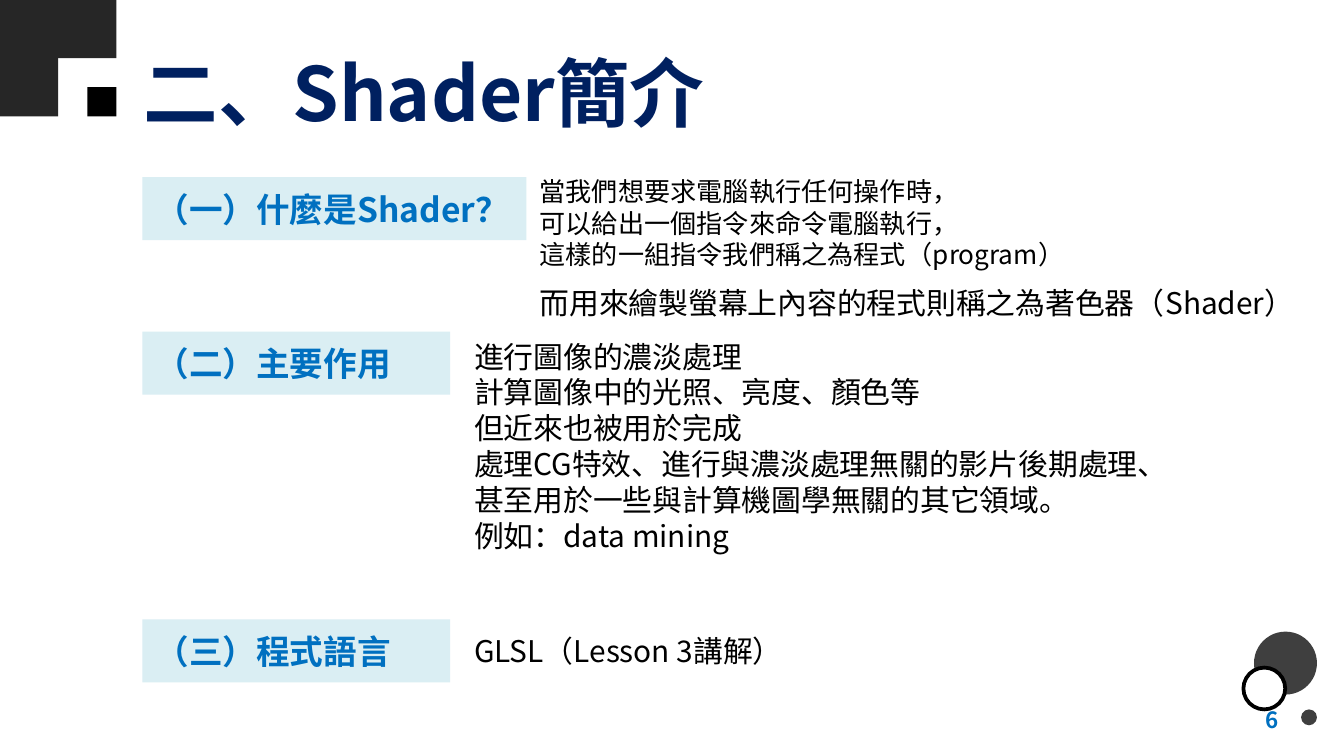
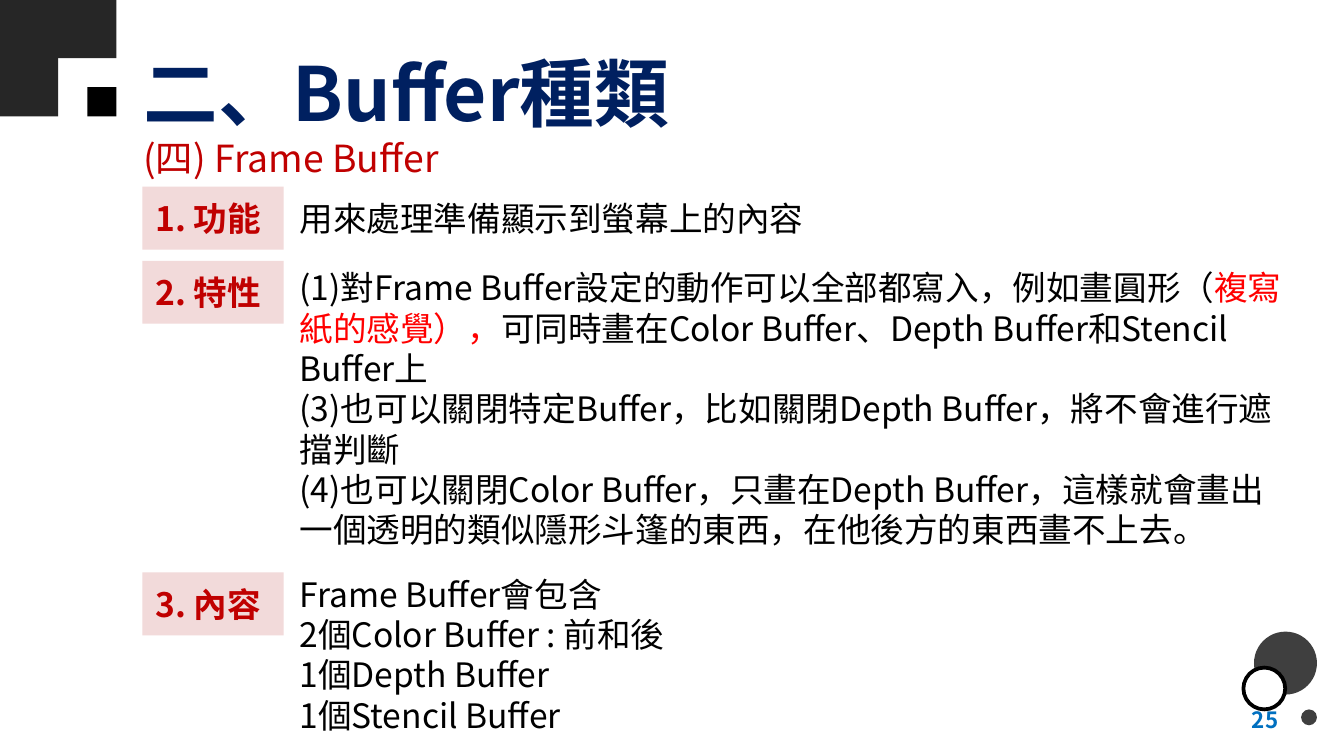
from pptx import Presentation
from pptx import util as u
from pptx.dml import color
from pptx.enum import shapes, text
from pptx.oxml.ns import qn
from lxml import etree

FONT = "Noto Sans CJK TC"
NAVY, BLUE, PALE_BLUE = "002060", "0070C0", "DAEEF3"
CRIMSON, RED, PALE_RED = "C00000", "FF0000", "F2DADA"
BLACK, WHITE, CHARCOAL, GREY = "000000", "FFFFFF", "262626", "3F3F3F"
RECT, OVAL = shapes.MSO_SHAPE.RECTANGLE, shapes.MSO_SHAPE.OVAL
MIDDLE, TOP = text.MSO_ANCHOR.MIDDLE, text.MSO_ANCHOR.TOP
LEFT, RIGHT = text.PP_ALIGN.LEFT, text.PP_ALIGN.RIGHT
LABEL_LEFT, LABEL_H = 2.69, 1.19


def rgb(value):
    return color.RGBColor.from_string(value)


def cm(*lengths):
    return [u.Cm(n) for n in lengths]


def write(sp, paragraphs, size=16, ink=BLACK, bold=False, align=LEFT,
          anchor=TOP, grow=False):
    tf = sp.text_frame
    tf.word_wrap = True
    tf.auto_size = (text.MSO_AUTO_SIZE.SHAPE_TO_FIT_TEXT if grow
                    else text.MSO_AUTO_SIZE.NONE)
    tf.vertical_anchor = anchor
    for i, runs in enumerate(paragraphs):
        p = tf.add_paragraph() if i else tf.paragraphs[0]
        p.alignment = align
        for run in [(runs, ink)] if isinstance(runs, str) else runs:
            r = p.add_run()
            r.text = run[0]
            r.font.name, r.font.size, r.font.bold = FONT, u.Pt(size), bold
            r.font.color.rgb = rgb(run[1])
            ea = etree.SubElement(r.font._element, qn("a:ea"))
            ea.set("typeface", FONT)


def add_text(s, box, paragraphs, **fmt):
    write(s.shapes.add_textbox(*cm(*box)), paragraphs, **fmt)


def add_block(parent, kind, box, fill, line=None):
    sp = parent.shapes.add_shape(kind, *cm(*box))
    sp.shadow.inherit = False
    sp.fill.solid()
    sp.fill.fore_color.rgb = rgb(fill)
    if line:
        sp.line.color.rgb, sp.line.width = rgb(line), u.Pt(2)
    else:
        sp.line.fill.background()
    return sp


def add_corner(s, unit):
    group = s.shapes.add_group_shape()
    for col, row in [(0, 0), (1, 0), (0, 1)]:
        add_block(group, RECT, (col * unit, row * unit, unit, unit), CHARCOAL)
    add_block(group, RECT, (1.5 * unit, 1.5 * unit, unit / 2, unit / 2), BLACK)


def add_bubbles(s, left, top):
    group = s.shapes.add_group_shape()
    for dx, dy, size, fill, line in [(0.2, 0, 1.19, GREY, None),
                                     (1.09, 1.47, 0.3, GREY, None),
                                     (0, 0.68, 0.79, WHITE, BLACK)]:
        add_block(group, OVAL, (left + dx, top + dy, size, size), fill, line)


def add_page(prs, title, title_width, number):
    s = prs.slides.add_slide(prs.slide_layouts[5])
    sp = s.shapes.title
    sp.left, sp.top, sp.width, sp.height = cm(2.46, 0.53, title_width, 2.39)
    write(sp, [title], size=40, ink=NAVY, bold=True, anchor=MIDDLE)
    add_corner(s, 1.1)
    add_bubbles(s, 23.5, 11.94)
    add_text(s, (18.49, 13.23, 5.92, 0.76), [number], size=12, ink=BLUE,
             bold=True, align=RIGHT, anchor=MIDDLE)
    return s


def add_section(s, top, width, label, fill, ink, notes, gap, size):
    sp = add_block(s, RECT, (LABEL_LEFT, top, width, LABEL_H), fill)
    write(sp, [label], size=18, ink=ink, bold=True, anchor=MIDDLE)
    for dy, note_width, height, paragraphs, *own_size in notes:
        add_text(s, (LABEL_LEFT + width + gap, top + dy, note_width, height),
                 paragraphs, size=own_size[0] if own_size else size, grow=True)


def shader_slide(prs):
    s = add_page(prs, "二、Shader簡介", 11.84, "6")
    sections = [
        (3.35, 7.26, 0, "（一）什麼是Shader？", [
            (-0.15, 12.7, 2.06, ["當我們想要求電腦執行任何操作時，",
                                 "可以給出一個指令來命令電腦執行，",
                                 "這樣的一組指令我們稱之為程式（program）"], 14),
            (1.91, 15.75, 0.94,
             ["而用來繪製螢幕上內容的程式則稱之為著色器（Shader）"])]),
        (6.27, 5.82, 0.2, "（二）主要作用", [
            (0, 14.48, 3.68, ["進行圖像的濃淡處理",
                              "計算圖像中的光照、亮度、顏色等",
                              "但近來也被用於完成",
                              "處理CG特效、進行與濃淡處理無關的影片後期處理、",
                              "甚至用於一些與計算機圖學無關的其它領域。",
                              "例如：data mining"])]),
        (11.71, 5.82, 0.2, "（三）程式語言", [
            (0.13, 6.88, 0.94, ["GLSL（Lesson 3講解）"])]),
    ]
    for top, width, gap, label, notes in sections:
        add_section(s, top, width, label, PALE_BLUE, BLUE, notes, gap, 16)


def buffer_slide(prs):
    s = add_page(prs, "二、Buffer種類", 14.33, "25")
    add_text(s, (2.46, 2.44, 13.16, 1.12), ["(四) Frame Buffer"],
             size=20, ink=CRIMSON, grow=True)
    sections = [
        (3.53, "1. 功能", (0.08, 10.13, 1.02, ["用來處理準備顯示到螢幕上的內容"])),
        (4.93, "2. 特性", (0, 19.08, 5.64, [
            [("(1)對Frame Buffer設定的動作可以全部都寫入，例如畫圓形（", BLACK),
             ("複寫紙的感覺），", RED),
             ("可同時畫在Color Buffer、Depth Buffer和Stencil Buffer上", BLACK)],
            "(3)也可以關閉特定Buffer，比如關閉Depth Buffer，將不會進行遮擋判斷",
            "(4)也可以關閉Color Buffer，只畫在Depth Buffer，"
            "這樣就會畫出一個透明的類似隱形斗篷的東西，在他後方的東西畫不上去。"])),
        (10.82, "3. 內容", (-0.1, 19.08, 3.33, [
            "Frame Buffer會包含", "2個Color Buffer : 前和後",
            "1個Depth Buffer", "1個Stencil Buffer"])),
    ]
    for top, label, note in sections:
        add_section(s, top, 2.67, label, PALE_RED, CRIMSON, [note], 0.05, 18)


def main():
    prs = Presentation()
    prs.slide_width, prs.slide_height = cm(25.4, 14.29)
    shader_slide(prs)
    buffer_slide(prs)
    prs.save("out.pptx")


if __name__ == "__main__":
    main()
